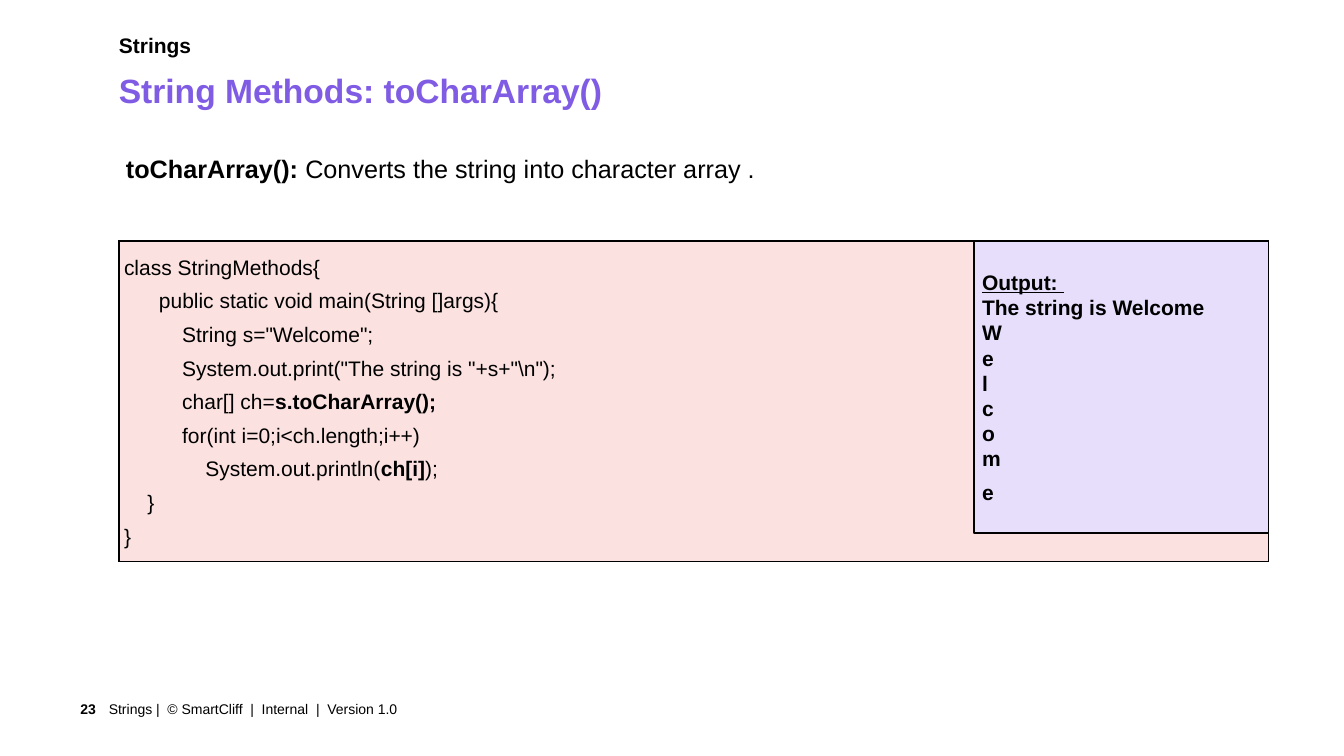
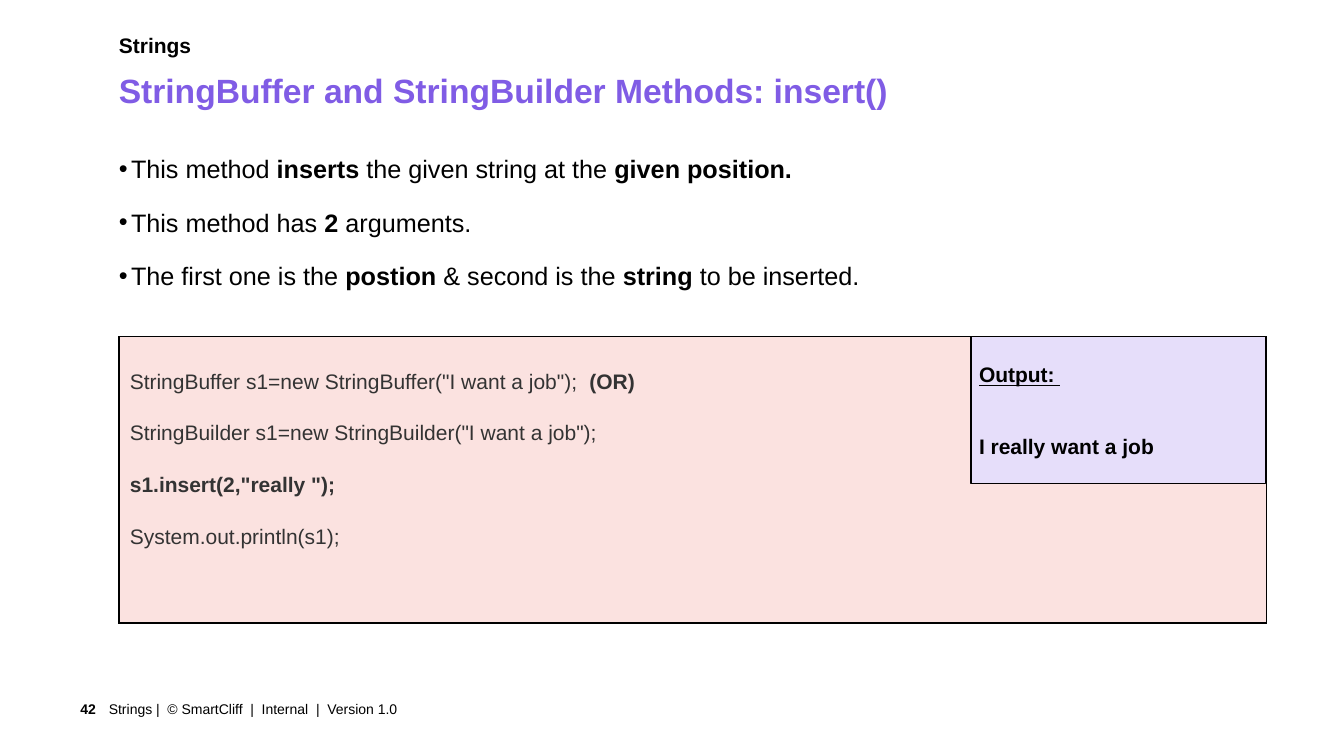
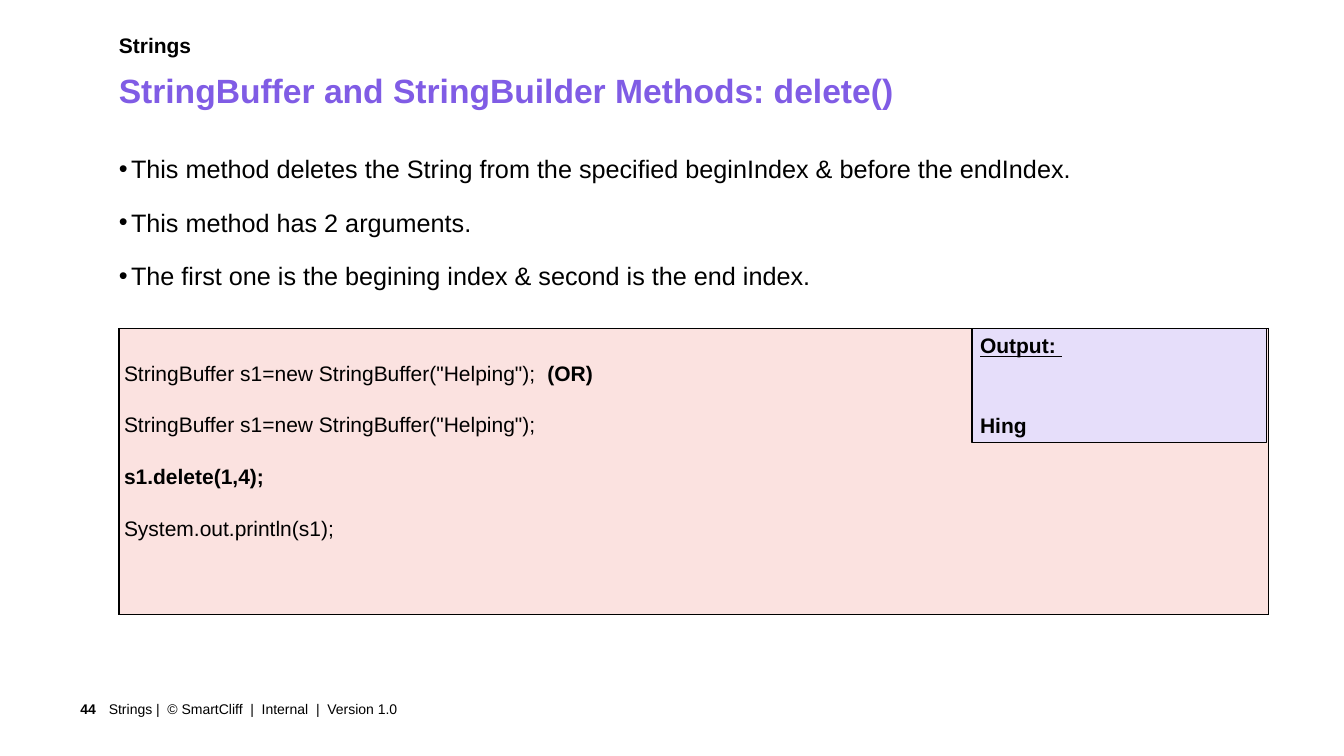
from lxml.etree import SubElement
from pptx import Presentation
from pptx.dml.color import RGBColor as Rgb
from pptx.enum.shapes import MSO_SHAPE as Shape
from pptx.enum.text import MSO_ANCHOR as Anchor, PP_ALIGN as Align
from pptx.oxml import parse_xml
from pptx.oxml.ns import nsdecls, qn
from pptx.util import Inches, Pt

FONT = "Arial"
COLORS = {
    "text": "000000",
    "soft": "333333",
    "title": "805CE5",
    "code": "FBE2E0",
    "output": "E6DEFA",
}
LEFT = 1.18
TOPIC = "Strings"
FOOTER = "Strings |  © SmartCliff  |  Internal  |  Version 1.0"


def color(key):
    return Rgb.from_string(COLORS[key])


def write(paragraph, text, size, key="text", bold=False, spacing=None, before=0):
    """Fill a paragraph; ** switches bold on and off."""
    paragraph.line_spacing = spacing
    paragraph.space_before = Pt(before)
    font = paragraph.font
    font.name, font.size, font.bold = FONT, Pt(size), bold
    font.color.rgb = color(key)
    for number, part in enumerate(text.split("**")):
        if part:
            run = paragraph.add_run()
            run.text = part
            if number % 2:
                run.font.bold = True


def next_paragraph(frame, index):
    return frame.add_paragraph() if index else frame.paragraphs[0]


def set_frame(frame, insets, anchor=Anchor.TOP):
    frame.word_wrap = True
    frame.vertical_anchor = anchor
    (frame.margin_left, frame.margin_top,
     frame.margin_right, frame.margin_bottom) = map(Inches, insets)


def add_text_area(slide, box, insets=(0, 0, 0, 0), anchor=Anchor.TOP):
    frame = slide.shapes.add_textbox(*map(Inches, box)).text_frame
    set_frame(frame, insets, anchor)
    return frame


def add_frame_texts(slide, title, page):
    # Topic and title
    topic = add_text_area(slide, (LEFT, 0.32, 11.94, 0.41))
    write(topic.paragraphs[0], TOPIC, 15, bold=True)
    heading = add_text_area(slide, (1.08, 0.64, 11.94, 0.42), (0.1, 0.05, 0.1, 0.05))
    write(heading.paragraphs[0], title, 24, "title", bold=True)

    # Page number and footer
    number = add_text_area(slide, (0.42, 6.88, 0.65, 0.31),
                           (0.1, 0.05, 0.12, 0.05), Anchor.MIDDLE)
    number.paragraphs[0].alignment = Align.RIGHT
    write(number.paragraphs[0], str(page), 10, bold=True)
    footer = add_text_area(slide, (1.08, 6.88, 9.36, 0.31),
                           (0, 0.05, 0.1, 0.05), Anchor.MIDDLE)
    write(footer.paragraphs[0], FOOTER, 10)


def add_description(slide, points, bulleted=True):
    frame = add_text_area(slide, (LEFT, 1.37, 11.4, 5.51))
    for index, point in enumerate(points):
        paragraph = next_paragraph(frame, index)
        paragraph.alignment = Align.JUSTIFY
        props = paragraph._p.get_or_add_pPr()
        if bulleted:
            props.set("marL", str(Inches(0.12)))
            props.set("indent", str(-Inches(0.12)))
            SubElement(props, qn("a:buFont")).set("typeface", FONT)
            SubElement(props, qn("a:buChar")).set("char", "•")
        else:
            props.set("marL", str(Inches(0.07)))
        write(paragraph, point, 18, spacing=1.5, before=6 if index else 0)


def add_code(slide, top, width, height, lines, pitch, key="text"):
    table = slide.shapes.add_table(
        1, 1, Inches(LEFT), Inches(top), Inches(width), Inches(height)).table
    table.first_row = table.horz_banding = False
    cell = table.cell(0, 0)
    cell.margin_left = cell.margin_right = Inches(0.05)
    cell.margin_top = cell.margin_bottom = Inches(0.05)
    cell.fill.solid()
    cell.fill.fore_color.rgb = color("code")
    # Borders come before the fill in the cell properties
    props = cell._tc.get_or_add_tcPr()
    for position, side in enumerate("LRTB"):
        props.insert(position, parse_xml(
            f'<a:ln{side} {nsdecls("a")} w="{Pt(1)}"><a:solidFill>'
            f'<a:srgbClr val="{COLORS["text"]}"/></a:solidFill></a:ln{side}>'))
    for index, line in enumerate(lines):
        write(next_paragraph(cell.text_frame, index), line, 15, key, spacing=Pt(pitch))


def add_output(slide, left, top, height, lines, last_pitch, gap=0):
    """Output panel; the last line has its own pitch."""
    panel = slide.shapes.add_shape(
        Shape.RECTANGLE, Inches(left), Inches(top), Inches(2.92), Inches(height))
    panel.shadow.inherit = False
    panel.fill.solid()
    panel.fill.fore_color.rgb = color("output")
    panel.line.color.rgb = color("text")
    panel.line.width = Pt(1)
    frame = panel.text_frame
    set_frame(frame, (0.08,) * 4, Anchor.MIDDLE)
    for index, line in enumerate(["Output: ", *lines]):
        paragraph = next_paragraph(frame, index)
        paragraph.alignment = Align.LEFT
        pitch = last_pitch if index == len(lines) else 18
        write(paragraph, line, 15, bold=True, spacing=Pt(pitch),
              before=gap if index else 0)
    frame.paragraphs[0].font.underline = True


def main():
    deck = Presentation()
    deck.slide_width, deck.slide_height = Inches(13.33), Inches(7.5)

    def new_slide(title, page):
        slide = deck.slides.add_slide(deck.slide_layouts[6])
        add_frame_texts(slide, title, page)
        return slide

    # toCharArray()
    slide = new_slide("String Methods: toCharArray()", 23)
    add_description(
        slide, ["**toCharArray():** Converts the string into character array ."],
        bulleted=False)
    add_code(slide, 2.39, 11.4, 3.18, [
        "class StringMethods{",
        "      public static void main(String []args){",
        '          String s="Welcome";',
        '          System.out.print("The string is "+s+"\\n");',
        "          char[] ch=**s.toCharArray();**",
        "          for(int i=0;i<ch.length;i++)",
        "              System.out.println(**ch[i]**);",
        "    }",
        "}",
    ], 24)
    add_output(slide, 9.66, 2.39, 2.9, ["The string is Welcome", *"Welcome"], 24)

    # insert()
    slide = new_slide("StringBuffer and StringBuilder Methods: insert()", 42)
    add_description(slide, [
        "This method **inserts** the given string at the **given position.**",
        "This method has **2** arguments.",
        "The first one is the **postion** & second is the **string** to be inserted.",
    ])
    add_code(slide, 3.34, 11.38, 2.84, [
        ' StringBuffer s1=new StringBuffer("I want a job");  **(OR)**',
        ' StringBuilder s1=new StringBuilder("I want a job");',
        ' **s1.insert(2,"really ");**',
        " System.out.println(s1);",
    ], 37, "soft")
    add_output(slide, 9.63, 3.34, 1.46, ["I really want a job"], 33, gap=18)

    # delete()
    slide = new_slide("StringBuffer and StringBuilder Methods: delete()", 44)
    add_description(slide, [
        "This method deletes the String from the specified beginIndex"
        " & before the endIndex.",
        "This method has 2 arguments.",
        "The first one is the begining index & second is the end index.",
    ])
    add_code(slide, 3.26, 11.4, 2.84, [
        'StringBuffer s1=new StringBuffer("Helping");  **(OR)**',
        'StringBuffer s1=new StringBuffer("Helping");',
        "**s1.delete(1,4);**",
        "System.out.println(s1);",
    ], 37)
    add_output(slide, 9.64, 3.26, 1.13, ["Hing"], 39, gap=18)

    deck.save("out.pptx")


if __name__ == "__main__":
    main()
